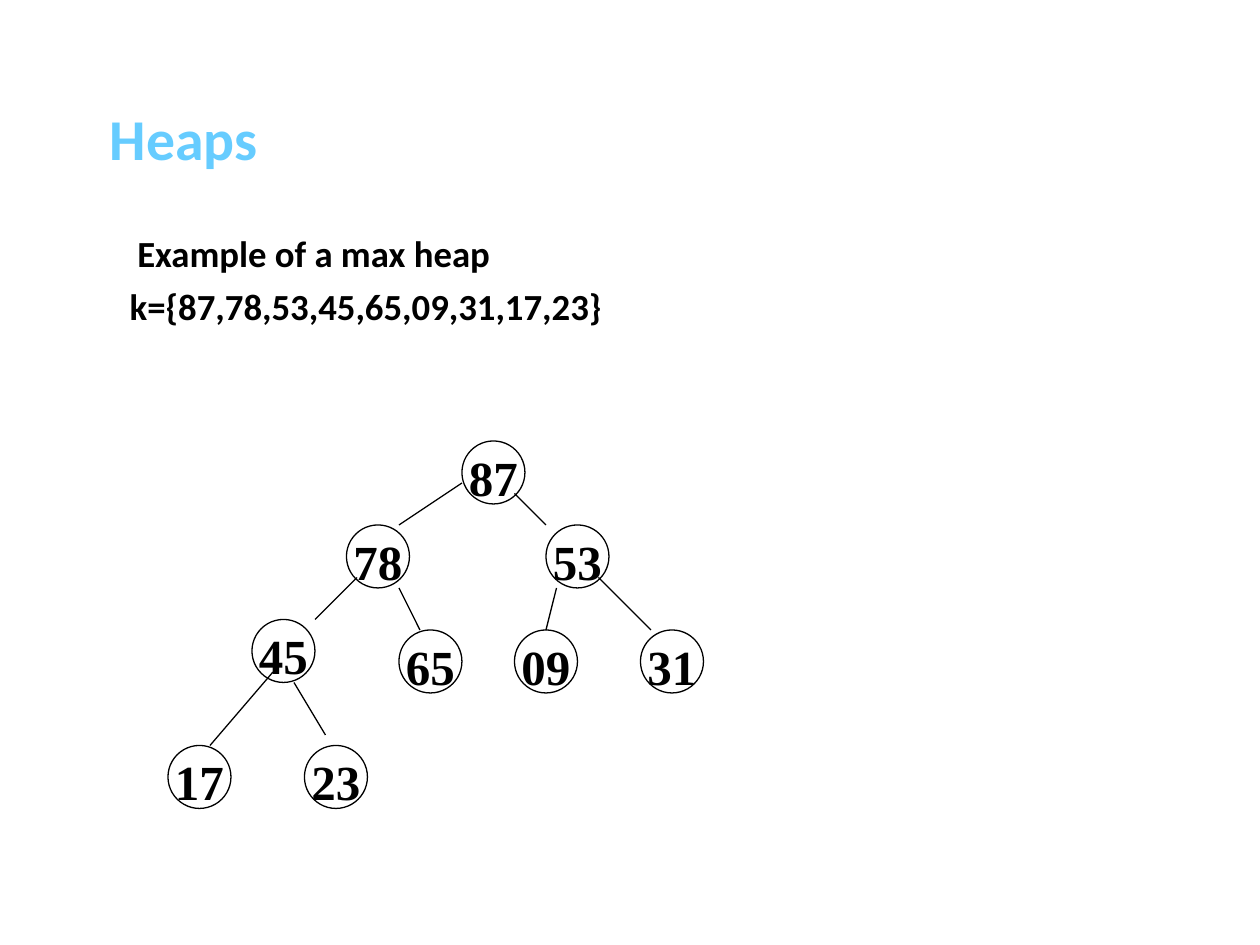
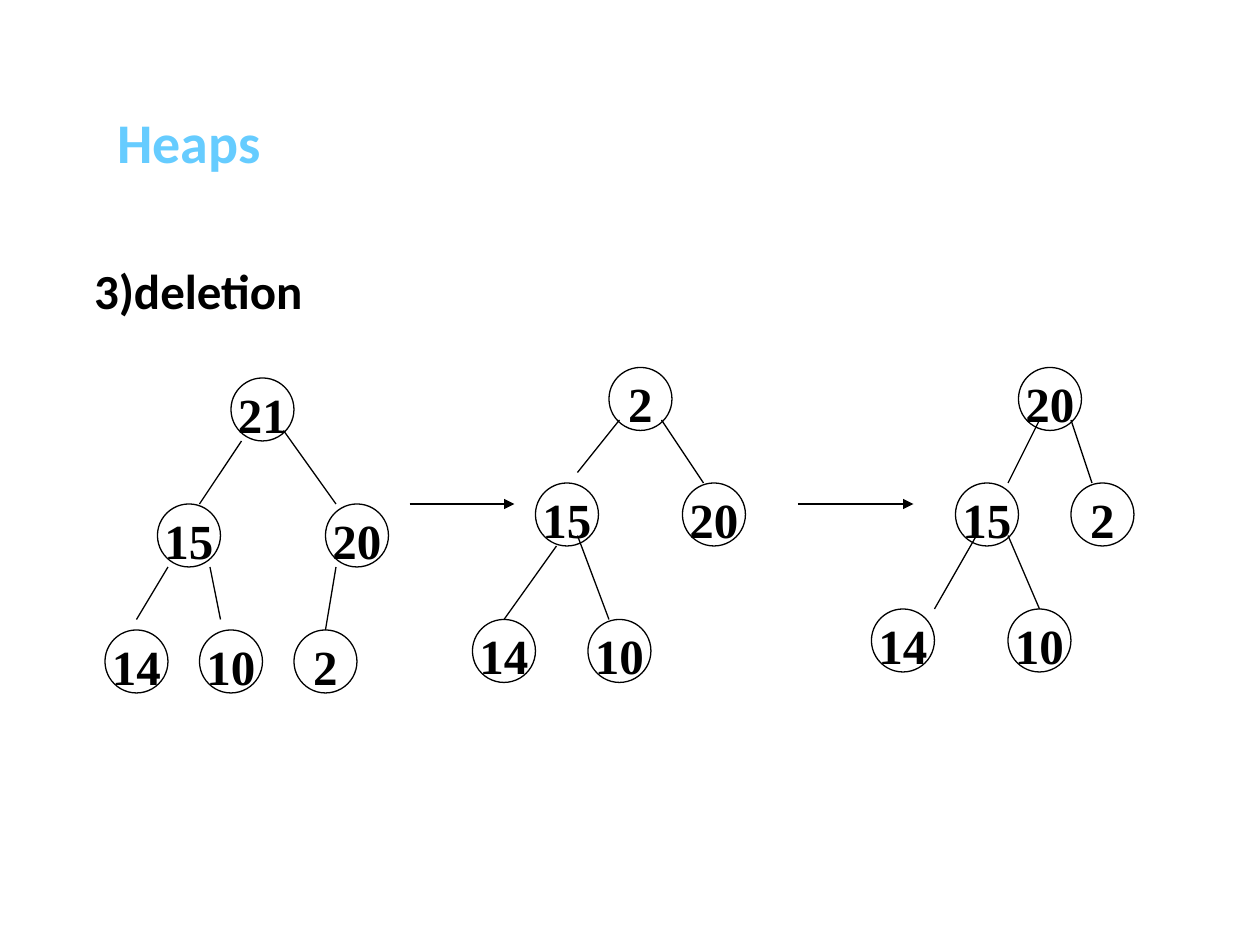
from dataclasses import dataclass, field

from lxml.etree import SubElement
from pptx import Presentation
from pptx.dml.color import RGBColor
from pptx.enum.shapes import MSO_CONNECTOR as Connector, MSO_SHAPE as Shape
from pptx.enum.text import MSO_ANCHOR as Anchor, PP_ALIGN as Align
from pptx.oxml.ns import qn
from pptx.util import Inches, Pt

CELLS_PER_INCH = 12
NODE_SIZE = 6  # cells
BLANK_LAYOUT = 6
BLACK, SKY = "000000", "66CCFF"
HEADING_FONT, NODE_FONT = "Calibri", "Times New Roman"
SIDE_INSET, TOP_INSET = 0.08, 0.04
TITLE_INDENT = 0.1


@dataclass(frozen=True)
class Area:
    """A rectangle in grid cells."""
    column: float
    row: float
    columns: float
    rows: float

    def lengths(self) -> list:
        return [cells(n) for n in (self.column, self.row, self.columns, self.rows)]


@dataclass(frozen=True)
class Node:
    key: str
    column: int
    row: int


@dataclass(frozen=True)
class Edge:
    start: tuple[int, int]
    end: tuple[int, int]
    arrow: bool = False


@dataclass(frozen=True)
class Line:
    """A line of body text with its indent in inches."""
    text: str
    indent: float = 0


@dataclass(frozen=True)
class Tree:
    nodes: list[Node]
    edges: list[Edge]


@dataclass(frozen=True)
class HeapPage:
    title_area: Area
    title_size: int
    body_area: Area
    body_size: int
    lines: list[Line]
    trees: list[Tree] = field(default_factory=list)


MAX_HEAP = Tree(
    [Node("87", 44, 42), Node("78", 33, 50), Node("45", 24, 59),
     Node("65", 38, 60), Node("53", 52, 50), Node("09", 49, 60),
     Node("17", 16, 71), Node("31", 61, 60), Node("23", 29, 71)],
    [Edge((44, 46), (38, 50)), Edge((49, 47), (52, 50)),
     Edge((34, 55), (30, 59)), Edge((26, 64), (20, 71)),
     Edge((38, 56), (40, 60)), Edge((28, 65), (31, 70)),
     Edge((53, 56), (52, 60)), Edge((57, 55), (62, 60))])

BEFORE_DELETION = Tree(
    [Node("21", 22, 36), Node("10", 19, 60), Node("20", 31, 48),
     Node("15", 15, 48), Node("2", 28, 60), Node("14", 10, 60)],
    [Edge((23, 42), (19, 48)), Edge((16, 54), (13, 59)),
     Edge((20, 54), (21, 59)), Edge((27, 41), (32, 48)),
     Edge((32, 54), (31, 60))])

LAST_MOVED_TO_ROOT = Tree(
    [Node("10", 56, 59), Node("14", 45, 59), Node("20", 65, 46),
     Node("15", 51, 46), Node("2", 58, 35)],
    [Edge((39, 48), (49, 48), arrow=True),
     Edge((59, 40), (55, 45)), Edge((53, 52), (48, 59)),
     Edge((55, 51), (58, 59)), Edge((63, 40), (67, 46))])

HEAP_RESTORED = Tree(
    [Node("14", 83, 58), Node("10", 96, 58), Node("2", 102, 46),
     Node("15", 91, 46), Node("20", 97, 35)],
    [Edge((99, 40), (96, 46)), Edge((93, 51), (89, 58)),
     Edge((96, 51), (99, 58)), Edge((102, 40), (104, 46)),
     Edge((76, 48), (87, 48), arrow=True)])

PAGES = [
    HeapPage(Area(8.3, 4.8, 103.5, 17.4), 33, Area(9, 22, 102, 57), 21,
             [Line("Example of a max heap", 0.26),
              Line("k={87,78,53,45,65,09,31,17,23}", 0.2)],
             [MAX_HEAP]),
    HeapPage(Area(9, 8, 102, 11.6), 32, Area(8, 25, 102, 54), 28,
             [Line("3)deletion")],
             [BEFORE_DELETION, LAST_MOVED_TO_ROOT, HEAP_RESTORED]),
]


def cells(count: float) -> int:
    return Inches(count / CELLS_PER_INCH)


def color(value: str) -> RGBColor:
    return RGBColor.from_string(value)


def style(para, name: str, size: int, value: str) -> None:
    font = para.font
    font.name, font.size, font.bold = name, Pt(size), True
    font.color.rgb = color(value)


def set_insets(frame, side: float, top: float, bottom: float) -> None:
    frame.margin_left = frame.margin_right = Inches(side)
    frame.margin_top, frame.margin_bottom = Inches(top), Inches(bottom)


def outline(shape) -> None:
    shape.line.color.rgb = color(BLACK)
    shape.line.width = Pt(0.75)


def add_text(page, area: Area, lines: list[Line], size: int, value: str,
             anchor: Anchor) -> None:
    frame = page.shapes.add_textbox(*area.lengths()).text_frame
    frame.word_wrap = True
    frame.vertical_anchor = anchor
    set_insets(frame, SIDE_INSET, TOP_INSET, TOP_INSET)
    for index, line in enumerate(lines):
        para = frame.add_paragraph() if index else frame.paragraphs[0]
        para.text = line.text
        para.line_spacing = 0.9
        para.space_before = Pt(7.5 if index else 0)
        para._p.get_or_add_pPr().set("marL", str(Inches(line.indent)))
        style(para, HEADING_FONT, size, value)


def add_node(shapes, node: Node) -> None:
    area = Area(node.column, node.row, NODE_SIZE, NODE_SIZE)
    circle = shapes.add_shape(Shape.OVAL, *area.lengths())
    circle.shadow.inherit = False
    circle.fill.background()
    outline(circle)
    frame = circle.text_frame
    frame.word_wrap = False
    frame.vertical_anchor = Anchor.MIDDLE
    set_insets(frame, 0.1, 0.12, 0.05)
    para = frame.paragraphs[0]
    para.text = node.key
    para.alignment = Align.CENTER
    style(para, NODE_FONT, 28, BLACK)


def add_edge(shapes, edge: Edge) -> None:
    ends = [cells(n) for n in (*edge.start, *edge.end)]
    link = shapes.add_connector(Connector.STRAIGHT, *ends)
    outline(link)
    if edge.arrow:
        SubElement(link.line._get_or_add_ln(), qn("a:tailEnd"), type="triangle")
    SubElement(link._element.spPr, qn("a:effectLst"))


def add_tree(page, tree: Tree) -> None:
    shapes = page.shapes.add_group_shape().shapes
    for node in tree.nodes:
        add_node(shapes, node)
    for edge in tree.edges:
        add_edge(shapes, edge)


def add_heap_page(deck, content: HeapPage) -> None:
    page = deck.slides.add_slide(deck.slide_layouts[BLANK_LAYOUT])
    add_text(page, content.title_area, [Line("Heaps", TITLE_INDENT)],
             content.title_size, SKY, Anchor.MIDDLE)
    add_text(page, content.body_area, content.lines,
             content.body_size, BLACK, Anchor.TOP)
    for tree in content.trees:
        add_tree(page, tree)


def main() -> None:
    deck = Presentation()
    deck.slide_width, deck.slide_height = Inches(10), Inches(7.5)
    for content in PAGES:
        add_heap_page(deck, content)
    deck.save("out.pptx")


if __name__ == "__main__":
    main()
